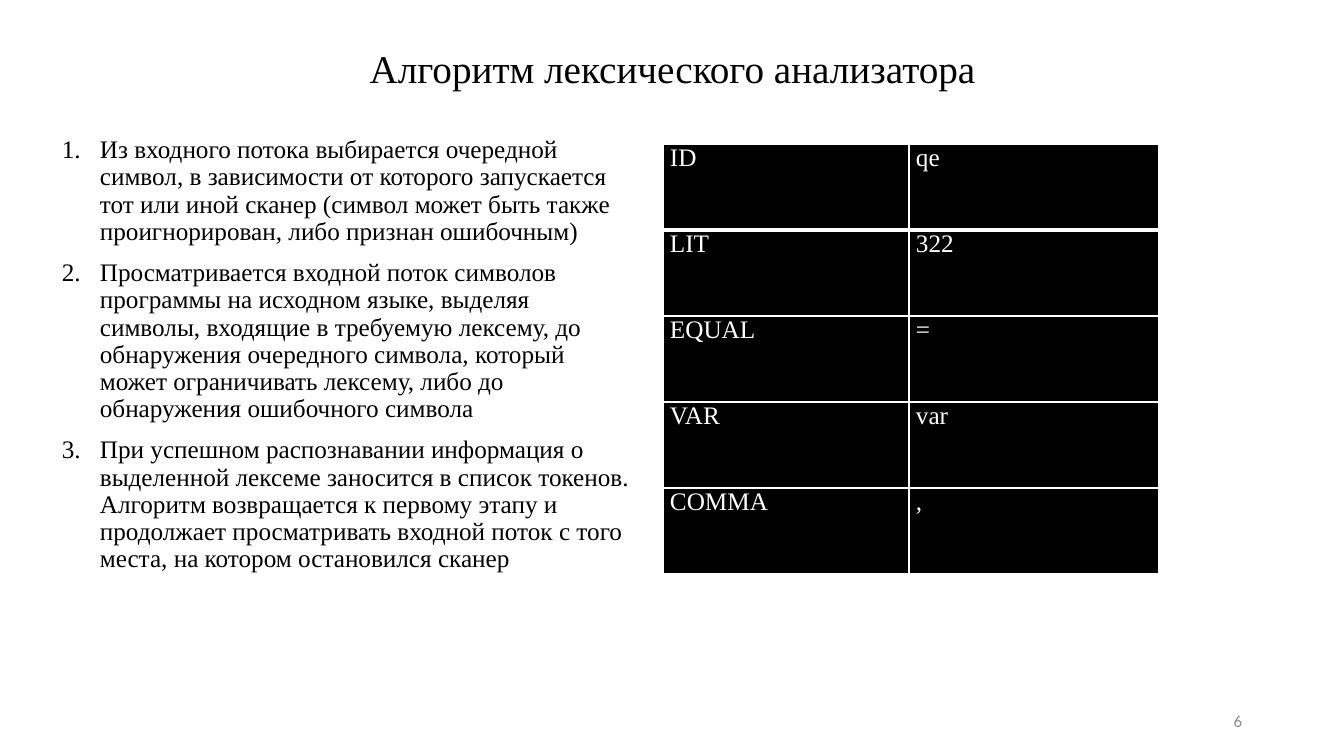
"""Build the slide about the lexical analyser algorithm."""
from lxml import etree
from pptx import Presentation
from pptx.dml.color import RGBColor
from pptx.enum.text import MSO_ANCHOR, PP_ALIGN
from pptx.oxml.ns import qn
from pptx.util import Pt

TOP, MIDDLE = MSO_ANCHOR.TOP, MSO_ANCHOR.MIDDLE
LEFT, CENTER, RIGHT, JUSTIFY = PP_ALIGN.LEFT, PP_ALIGN.CENTER, PP_ALIGN.RIGHT, PP_ALIGN.JUSTIFY
SERIF, SANS = "Times New Roman", "Calibri"
BLACK, WHITE, GRAY = "000000", "FFFFFF", "8C8C8C"

TITLE = "Алгоритм лексического анализатора"
STEPS = [
    "Из входного потока выбирается очередной символ, в зависимости от которого "
    "запускается тот или иной сканер (символ может быть также проигнорирован, "
    "либо признан ошибочным)",
    "Просматривается входной поток символов программы на исходном языке, выделяя "
    "символы, входящие в требуемую лексему, до обнаружения очередного символа, "
    "который может ограничивать лексему, либо до обнаружения ошибочного символа",
    "При успешном распознавании информация о выделенной лексеме заносится в список "
    "токенов. Алгоритм возвращается к первому этапу и продолжает просматривать "
    "входной поток с того места, на котором остановился сканер",
]
PAGE = "6"
TOKENS = [("ID", "qe"), ("LIT", "322"), ("EQUAL", "="), ("VAR", "var"), ("COMMA", ",")]

SLIDE_SIZE = (1344, 756)
TITLE_BOX = (330, -2, 685, 146)
STEPS_BOX = (52, 132, 591, 602)
PAGE_BOX = (950, 701, 302, 40)
TABLE_AT = (663, 144)
COLUMNS = (246, 250)
ROW_HEIGHT = 86
CELL_INSET = 7
INDENT = 38


def px(n):
    return round(n * 914400 / 100.8)


def color(value):
    return RGBColor.from_string(value)


def style(p, size, font, ink, align):
    p.alignment = align
    for r in p.runs:
        r.font.size = Pt(size)
        r.font.name = font
        r.font.color.rgb = color(ink)


def add_text(s, box, lines, size, font, ink, align, anchor, spacing=1.0):
    tf = s.shapes.add_textbox(*map(px, box)).text_frame
    tf.word_wrap = True
    tf.vertical_anchor = anchor
    tf.text = "\n".join(lines)
    for p in tf.paragraphs:
        style(p, size, font, ink, align)
        p.line_spacing = spacing
    return tf


def number(p):
    p.space_before = Pt(10)
    pPr = p._p.get_or_add_pPr()
    pPr.set("marL", str(px(INDENT)))
    pPr.set("indent", str(-px(INDENT)))
    etree.SubElement(pPr, qn("a:buFont"), typeface="+mj-lt")
    etree.SubElement(pPr, qn("a:buAutoNum"), type="arabicPeriod")


def add_border(cell, side, width):
    ln = etree.SubElement(cell._tc.get_or_add_tcPr(), qn(f"a:ln{side}"), w=str(Pt(width)))
    fill = etree.SubElement(ln, qn("a:solidFill"))
    etree.SubElement(fill, qn("a:srgbClr"), val=WHITE)


def add_tokens(s):
    size = (sum(COLUMNS), ROW_HEIGHT * len(TOKENS))
    table = s.shapes.add_table(len(TOKENS), len(COLUMNS), *map(px, TABLE_AT + size)).table
    for column, width in zip(table.columns, COLUMNS):
        column.width = px(width)
    for i, row in enumerate(TOKENS):
        table.rows[i].height = px(ROW_HEIGHT)
        widths = {"L": 1, "R": 1, "T": 3 if i == 1 else 1, "B": 3 if i == 0 else 1}
        for j, text in enumerate(row):
            cell = table.cell(i, j)
            cell.text = text
            cell.margin_left = cell.margin_right = px(CELL_INSET)
            cell.margin_top = cell.margin_bottom = 0
            for side, width in widths.items():
                add_border(cell, side, width)
            cell.fill.solid()
            cell.fill.fore_color.rgb = color(BLACK)
            p = cell.text_frame.paragraphs[0]
            style(p, 18, SERIF, WHITE, JUSTIFY)
            p.runs[0].font.bold = False


def main():
    prs = Presentation()
    prs.slide_width, prs.slide_height = map(px, SLIDE_SIZE)
    s = prs.slides.add_slide(prs.slide_layouts[6])
    add_text(s, TITLE_BOX, [TITLE], 28, SERIF, BLACK, CENTER, MIDDLE, 0.9)
    tf = add_text(s, STEPS_BOX, STEPS, 18, SERIF, BLACK, LEFT, TOP, 0.9)
    for p in tf.paragraphs:
        number(p)
    add_text(s, PAGE_BOX, [PAGE], 12, SANS, GRAY, RIGHT, MIDDLE)
    add_tokens(s)
    prs.save("out.pptx")


if __name__ == "__main__":
    main()
